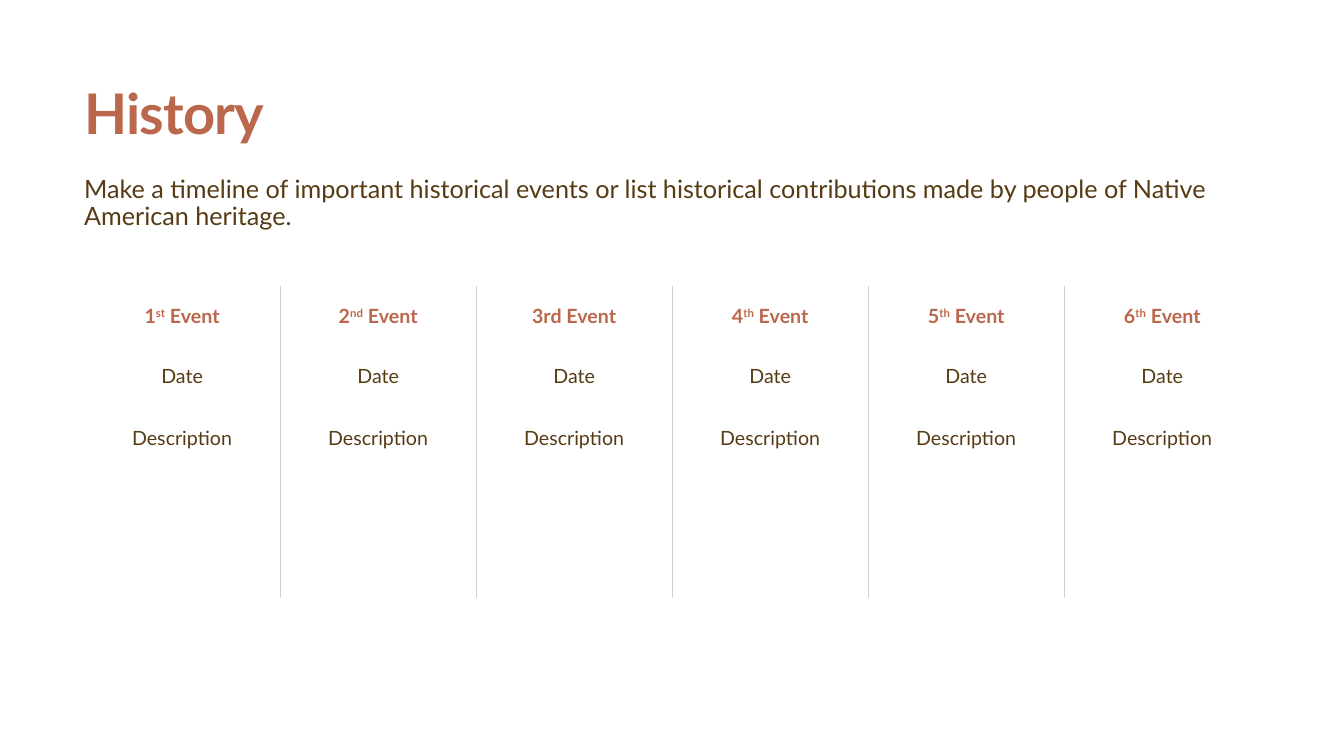
"""Build the History slide with its six-event timeline table."""
import dataclasses

import pptx
import pptx.dml.color
import pptx.enum.text
import pptx.oxml
import pptx.oxml.ns
import pptx.util

Cm = pptx.util.Cm
ANCHOR = pptx.enum.text.MSO_ANCHOR


@dataclasses.dataclass(frozen=True)
class Theme:
    """Hold the colours, font and type sizes of the slide."""
    accent: str = "BB674B"
    ink: str = "563B14"
    rule: str = "CFCFCF"
    font: str = "Lato"
    title_size: int = 40
    body_size: int = 18
    table_size: int = 14
    rule_width: float = 0.5


class SlideBuilder:
    """Add styled elements to the current slide."""

    def __init__(self, page, theme):
        """Keep the slide and its theme."""
        self.page = page
        self.theme = theme

    def add_span(self, para, text, size, colour, bold=False, **extra):
        """Add one styled run, with any extra run attributes."""
        span = para.add_run()
        span.text = text
        span.font.name = self.theme.font
        span.font.size = pptx.util.Pt(size)
        span.font.bold = bold
        span.font.color.rgb = pptx.dml.color.RGBColor.from_string(colour)
        for name, value in extra.items():
            span._r.get_or_add_rPr().set(name, str(value))

    def add_text(self, top, height, anchor=ANCHOR.TOP):
        """Add a full-width text box and return its paragraph."""
        box = self.page.shapes.add_textbox(Cm(LEFT), Cm(top), Cm(WIDTH), Cm(height))
        frame = box.text_frame
        frame.word_wrap = True
        frame.vertical_anchor = anchor
        frame.margin_left = frame.margin_right = 0
        frame.margin_top = frame.margin_bottom = 0
        return frame.paragraphs[0]

    def set_borders(self, cell, sides):
        """Draw thin rules on the given sides and clear the others."""
        properties = cell._tc.get_or_add_tcPr()
        width = pptx.util.Pt(self.theme.rule_width)
        rule = f'<a:solidFill><a:srgbClr val="{self.theme.rule}"/></a:solidFill>'
        for index, side in enumerate("LRTB"):
            fill = rule if side in sides else "<a:noFill/>"
            properties.insert(index, pptx.oxml.parse_xml(
                f'<a:ln{side} {pptx.oxml.ns.nsdecls("a")} w="{width}">{fill}</a:ln{side}>'))

    def add_timeline(self, top, row_heights, events):
        """Add the table with one column for each event."""
        count = len(events)
        table = self.page.shapes.add_table(
            len(row_heights), count, Cm(LEFT), Cm(top),
            Cm(WIDTH), Cm(sum(row_heights))).table
        table.first_row = table.horz_banding = False
        for row, height in zip(table.rows, row_heights):
            row.height = Cm(height)
        for column, (number, suffix, rest) in enumerate(events):
            table.columns[column].width = Cm(WIDTH / count)
            sides = ("L" if column else "") + ("R" if column < count - 1 else "")
            paras = [self.style_cell(table.cell(row, column), sides)
                     for row in range(len(row_heights))]
            heading = self.theme.table_size, self.theme.accent, True
            self.add_span(paras[0], number, *heading)
            if suffix:
                self.add_span(paras[0], suffix, *heading, baseline=30000)
            self.add_span(paras[0], rest, *heading)
            for para, label in zip(paras[1:], ("Date", "Description")):
                self.add_span(para, label, self.theme.table_size, self.theme.ink)
            description = table.cell(2, column)
            description.vertical_anchor = ANCHOR.TOP
            description.margin_top = Cm(0.51)

    def style_cell(self, cell, sides):
        """Clear a cell's fill, rule its sides and return its paragraph."""
        cell.fill.background()
        cell.vertical_anchor = ANCHOR.MIDDLE
        self.set_borders(cell, sides)
        para = cell.text_frame.paragraphs[0]
        para.alignment = pptx.enum.text.PP_ALIGN.CENTER
        return para


LEFT, WIDTH = 2.12, 29.64
EVENTS = [
    ("1", "st", " Event"),
    ("2", "nd", " Event"),
    ("3rd", "", " Event"),
    ("4", "th", " Event"),
    ("5", "th", " Event"),
    ("6", "th", " Event"),
]


def main():
    """Create and save the deck."""
    deck = pptx.Presentation()
    deck.slide_width, deck.slide_height = Cm(33.87), Cm(19.05)
    theme = Theme()
    builder = SlideBuilder(deck.slides.add_slide(deck.slide_layouts[6]), theme)

    title = builder.add_text(1.98, 1.7, ANCHOR.BOTTOM)
    builder.add_span(title, "History", theme.title_size, theme.accent, True, spc=-50)

    intro = builder.add_text(4.45, 2.12)
    intro.line_spacing = 0.9
    builder.add_span(
        intro,
        "Make a timeline of important historical events or list historical "
        "contributions made by people of Native American heritage.",
        theme.body_size, theme.ink)

    builder.add_timeline(7.2, [1.52, 1.52, 4.83], EVENTS)
    deck.save("out.pptx")


if __name__ == "__main__":
    main()
